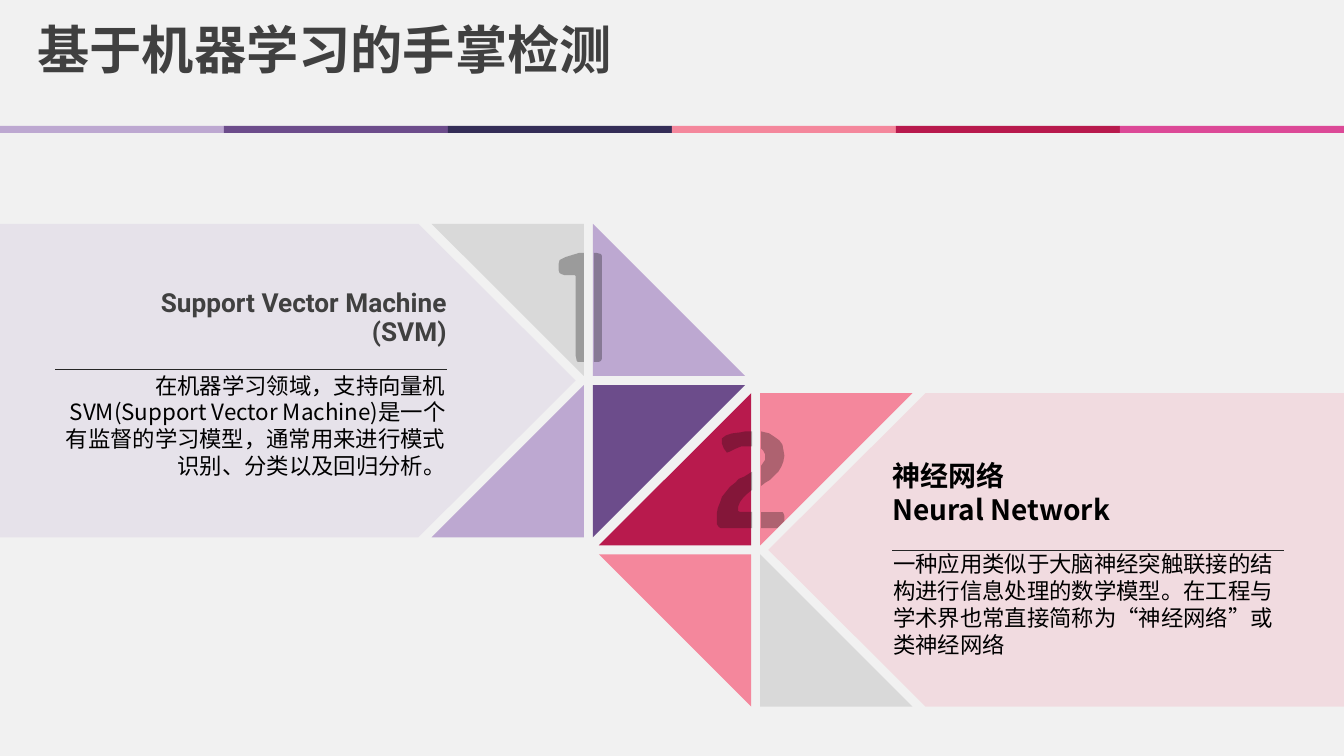
from dataclasses import dataclass

from lxml.etree import SubElement
from pptx import Presentation
from pptx.dml.color import RGBColor
from pptx.enum.shapes import MSO_CONNECTOR, MSO_SHAPE
from pptx.enum.text import MSO_ANCHOR, PP_ALIGN
from pptx.oxml.ns import qn
from pptx.util import Inches, Pt


@dataclass(frozen=True)
class Theme:
    background: str = "F1F1F1"
    lilac: str = "BDA8D1"
    purple: str = "6C4C8B"
    navy: str = "342D57"
    pink: str = "F4879C"
    crimson: str = "B81A4D"
    magenta: str = "DC4997"
    grey: str = "D9D9D9"
    digit: str = "0D0D0D"
    heading: str = "404040"
    rule: str = "262626"
    body: str = "000000"
    sans: str = "Noto Sans CJK SC"
    sans_korean: str = "Noto Sans CJK KR"
    latin: str = "Roboto"
    title_size: float = 37.3
    svm_size: float = 18.7
    network_size: float = 20
    body_size: float = 16


THEME = Theme()
SLIDE_WIDTH, SLIDE_HEIGHT = 13.33, 7.5
TRIANGLE, GAP = 1.51, 0.09
TOP_LEFT, TOP_RIGHT, BOTTOM_RIGHT, BOTTOM_LEFT = range(4)

# Halves of the numerals, split by the gap between the triangles
NUMERAL_ONE = [
    [(5.79, 2.51), (5.74, 2.51), (5.61, 2.55), (5.57, 2.57), (5.55, 2.58),
     (5.54, 2.62), (5.54, 2.68), (5.55, 2.71), (5.57, 2.72), (5.6, 2.73),
     (5.7, 2.73), (5.71, 2.74), (5.71, 3.53), (5.72, 3.58), (5.73, 3.59),
     (5.79, 3.59)],
    [(5.92, 2.51), (5.89, 2.51), (5.89, 3.59), (5.94, 3.59), (5.96, 3.58),
     (5.97, 3.56), (5.97, 2.54), (5.96, 2.52)],
]
NUMERAL_TWO = [
    [(7.72, 5.08), (7.55, 5.08), (7.55, 5.24), (7.71, 5.24), (7.78, 5.17),
     (7.78, 5.12), (7.77, 5.09), (7.76, 5.08)],
    [(7.55, 4.28), (7.55, 4.45), (7.57, 4.47), (7.59, 4.51), (7.59, 4.56),
     (7.57, 4.59), (7.55, 4.62), (7.55, 4.82), (7.59, 4.79), (7.64, 4.76),
     (7.68, 4.72), (7.72, 4.68), (7.75, 4.63), (7.77, 4.58), (7.78, 4.52),
     (7.77, 4.46), (7.76, 4.41), (7.73, 4.37), (7.69, 4.34), (7.63, 4.3),
     (7.59, 4.29)],
    [(7.46, 4.68), (7.38, 4.73), (7.33, 4.75), (7.29, 4.79), (7.24, 4.83),
     (7.2, 4.88), (7.16, 4.93), (7.14, 4.99), (7.12, 5.04), (7.11, 5.09),
     (7.11, 5.2), (7.13, 5.23), (7.15, 5.24), (7.46, 5.24), (7.46, 5.08),
     (7.34, 5.08), (7.32, 5.07), (7.32, 5.03), (7.34, 4.98), (7.37, 4.94),
     (7.41, 4.9), (7.46, 4.86)],
    [(7.46, 4.28), (7.39, 4.28), (7.34, 4.29), (7.26, 4.3), (7.2, 4.32),
     (7.16, 4.35), (7.16, 4.4), (7.18, 4.45), (7.21, 4.49), (7.24, 4.48),
     (7.3, 4.45), (7.35, 4.43), (7.46, 4.43)],
]


def paint(shape, color, opacity=100):
    shape.shadow.inherit = False
    shape.line.fill.background()
    shape.fill.solid()
    shape.fill.fore_color.rgb = RGBColor.from_string(color)
    if opacity < 100:
        tint = next(shape.element.spPr.iter(qn("a:srgbClr")))
        SubElement(tint, qn("a:alpha"), val=str(opacity * 1000))


def add_outline(slide, points, color, opacity=100):
    start, *rest = [(Inches(x), Inches(y)) for x, y in points]
    builder = slide.shapes.build_freeform(*start)
    builder.add_line_segments(rest, close=True)
    paint(builder.convert_to_shape(), color, opacity)


def add_stripes(slide, colors):
    width = SLIDE_WIDTH / len(colors)
    for index, color in enumerate(colors):
        stripe = slide.shapes.add_shape(
            MSO_SHAPE.RECTANGLE, Inches(index * width), Inches(1.25),
            Inches(width), Inches(0.07))
        paint(stripe, color)


def add_panel(slide, edge, top, direction, color):
    """Pale band from a slide edge to a point; direction is 1 or -1."""
    shoulder, tip = edge + direction * 4.15, edge + direction * 5.71
    add_outline(slide, [(edge, top), (shoulder, top), (tip, top + 1.555),
                        (shoulder, top + 3.11), (edge, top + 3.11)], color, 20)


def add_pinwheel(slide, left, top, triangles):
    """Each triangle is a square of a 2 x 2 grid without one corner."""
    for column, row, missing, color in triangles:
        x = left + column * (TRIANGLE + GAP)
        y = top + row * (TRIANGLE + GAP)
        corners = [(x, y), (x + TRIANGLE, y),
                   (x + TRIANGLE, y + TRIANGLE), (x, y + TRIANGLE)]
        del corners[missing]
        add_outline(slide, corners, color)


def add_numeral(slide, pieces):
    for piece in pieces:
        add_outline(slide, piece, THEME.digit, 30)


def add_text(slide, place, lines, size, font, color, bold=False,
             align=PP_ALIGN.LEFT, anchor=MSO_ANCHOR.TOP, spacing=None):
    frame = slide.shapes.add_textbox(*map(Inches, place)).text_frame
    frame.word_wrap = True
    frame.vertical_anchor = anchor
    frame.margin_left = frame.margin_right = 0
    frame.margin_top = frame.margin_bottom = 0
    frame.text = "\n".join(lines)
    for paragraph in frame.paragraphs:
        paragraph.alignment = align
        paragraph.line_spacing = spacing
        for run in paragraph.runs:
            run.font.size = Pt(size)
            run.font.bold = bold
            run.font.color.rgb = RGBColor.from_string(color)
            run.font.name = font
            SubElement(run.font._element, qn("a:ea"), typeface=font)


def add_body(slide, left, top, text, align):
    add_text(slide, (left, top, 3.87, 1.08), [text], THEME.body_size,
             THEME.sans, THEME.body, align=align, anchor=MSO_ANCHOR.MIDDLE)


def add_rule(slide, left, top):
    rule = slide.shapes.add_connector(
        MSO_CONNECTOR.STRAIGHT, Inches(left), Inches(top),
        Inches(left + 3.88), Inches(top))
    rule.line.color.rgb = RGBColor.from_string(THEME.rule)
    rule.line.width = Pt(0.75)
    SubElement(rule.element.spPr, qn("a:effectLst"))


def main():
    deck = Presentation()
    deck.slide_width, deck.slide_height = Inches(SLIDE_WIDTH), Inches(SLIDE_HEIGHT)
    slide = deck.slides.add_slide(deck.slide_layouts[6])
    slide.background.fill.solid()
    slide.background.fill.fore_color.rgb = RGBColor.from_string(THEME.background)

    # Header
    add_stripes(slide, [THEME.lilac, THEME.purple, THEME.navy,
                        THEME.pink, THEME.crimson, THEME.magenta])
    add_text(slide, (0.37, 0.17, 12.18, 0.61), ["基于机器学习的手掌检测"],
             THEME.title_size, THEME.sans, THEME.heading, bold=True)

    # Panels behind the two methods
    add_panel(slide, SLIDE_WIDTH, 3.9, -1, THEME.pink)
    add_panel(slide, 0, 2.22, 1, THEME.lilac)

    # Support vector machine
    add_text(slide, (1.1, 2.88, 3.33, 0.57), ["Support Vector Machine", "(SVM)"],
             THEME.svm_size, THEME.latin, THEME.heading, bold=True,
             align=PP_ALIGN.RIGHT, spacing=0.9)
    add_body(slide, 0.55, 3.68,
             "在机器学习领域，支持向量机SVM(Support Vector Machine)是一个有监督的学习模型，"
             "通常用来进行模式识别、分类以及回归分析。", PP_ALIGN.RIGHT)
    add_rule(slide, 0.55, 3.67)

    # Neural network
    add_text(slide, (8.85, 4.55, 4.09, 0.67), ["神经网络", "Neural Network"],
             THEME.network_size, THEME.sans_korean, THEME.body, bold=True)
    add_body(slide, 8.86, 5.45,
             "一种应用类似于大脑神经突触联接的结构进行信息处理的数学模型。"
             "在工程与学术界也常直接简称为“神经网络”或类神经网络", PP_ALIGN.LEFT)
    add_rule(slide, 8.85, 5.46)

    # Numbered pinwheels
    add_pinwheel(slide, 4.28, 2.22, [
        (1, 0, TOP_RIGHT, THEME.lilac), (1, 1, BOTTOM_RIGHT, THEME.purple),
        (0, 1, TOP_LEFT, THEME.lilac), (0, 0, BOTTOM_LEFT, THEME.grey)])
    add_numeral(slide, NUMERAL_ONE)
    add_pinwheel(slide, 5.94, 3.9, [
        (0, 0, TOP_LEFT, THEME.crimson), (0, 1, BOTTOM_LEFT, THEME.pink),
        (1, 1, TOP_RIGHT, THEME.grey), (1, 0, BOTTOM_RIGHT, THEME.pink)])
    add_numeral(slide, NUMERAL_TWO)

    deck.save("out.pptx")


if __name__ == "__main__":
    main()
